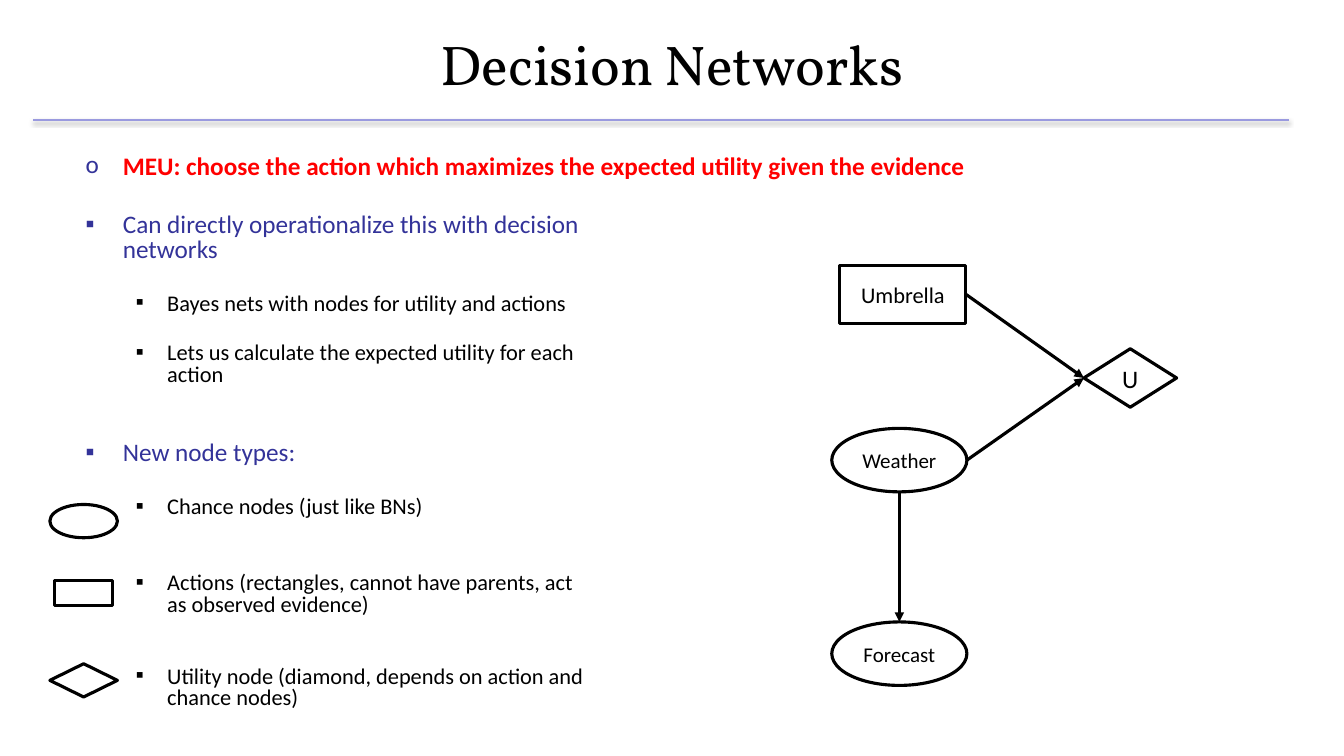
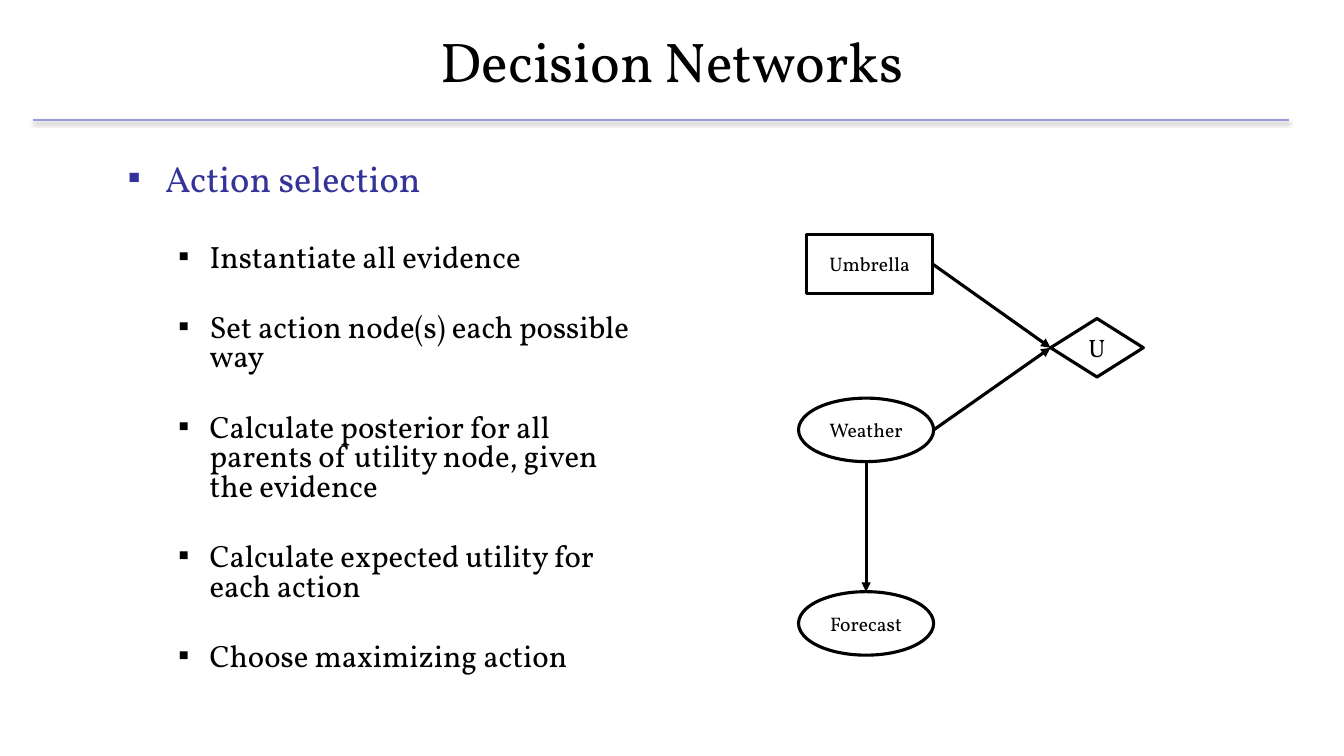
"""Build two slides on decision networks from shared title, list and diagram rules."""
from dataclasses import dataclass

from lxml import etree
from pptx import Presentation
from pptx.dml.color import RGBColor
from pptx.enum.shapes import MSO_CONNECTOR, MSO_SHAPE
from pptx.enum.text import MSO_ANCHOR, PP_ALIGN
from pptx.oxml.ns import qn
from pptx.util import Inches, Pt

OVAL, RECT, DIAMOND = MSO_SHAPE.OVAL, MSO_SHAPE.RECTANGLE, MSO_SHAPE.DIAMOND
STRAIGHT = MSO_CONNECTOR.STRAIGHT
CENTER, LEFT = PP_ALIGN.CENTER, PP_ALIGN.LEFT
MIDDLE, TOP = MSO_ANCHOR.MIDDLE, MSO_ANCHOR.TOP
CXN_TOP, CXN_LEFT, CXN_RIGHT = 0, 1, 3


@dataclass(frozen=True)
class Theme:
    """Colours, fonts, type sizes and line widths."""
    ink: str = "000000"
    paper: str = "FFFFFF"
    accent: str = "333399"
    alert: str = "FF0000"
    rule: str = "9A9ADF"
    serif: str = "Vollkorn"
    sans: str = "Calibri"
    title: int = 40
    utility: int = 18
    stroke: float = 2.25
    hairline: float = 1
    leading: float = 0.8


T = Theme()
WIDTH, HEIGHT = 13.33, 7.5
TITLE_H = HEIGHT / 6
RULE_X, RULE_Y = (0.33, 12.78), 1.19
INDENTS = ((0.37, -0.37), (0.81, -0.31))

NODES = {
    "Weather": (OVAL, 0, 1.62, 1.34, 0.63),
    "Forecast": (OVAL, 0, 3.54, 1.34, 0.63),
    "Umbrella": (RECT, 0.08, 0, 1.25, 0.58),
    "U": (DIAMOND, 2.5, 0.83, 0.92, 0.58),
}
LEGEND_X = 0.83
LEGEND = ((OVAL, 5.17, 0.67, 0.33), (RECT, 5.88, 0.58, 0.25), (DIAMOND, 6.75, 0.67, 0.33))

SLIDES = [
    {
        "title": "Decision Networks", "title_y": 0, "font": T.sans,
        "sizes": (18, 16), "diagram": (8.25, 2.63),
        "labels": {"Weather": 15, "Forecast": 15, "Umbrella": 16},
        "legend": LEGEND,
        "lists": [
            {"at": (0.75, 1.5, 10.33, 0.5), "bullet": "o", "color": T.alert, "bold": True,
             "items": [(0, 0, "MEU: choose the action which maximizes the expected utility given the evidence")]},
            {"at": (0.75, 2.08, 5.25, 4.78), "items": [
                (0, 4, "Can directly operationalize this with decision networks"),
                (1, 22, "Bayes nets with nodes for utility and actions"),
                (1, 20, "Lets us calculate the expected utility for each action"),
                (0, 40, "New node types:"),
                (1, 22, "Chance nodes (just like BNs)"),
                (1, 39, "Actions (rectangles, cannot have parents, act as observed evidence)"),
                (1, 36, "Utility node (diamond, depends on action and chance nodes)"),
            ]},
        ],
    },
    {
        "title": "Decision Networks", "title_y": -0.03, "font": T.serif,
        "sizes": (26, 22), "diagram": (7.92, 2.33),
        "labels": {"Weather": 14, "Forecast": 14, "Umbrella": 14},
        "legend": (),
        "lists": [
            {"at": (1.17, 1.58, 5.25, 5.37), "items": [
                (0, 0, "Action selection"),
                (1, 32.5, "Instantiate all evidence"),
                (1, 29, "Set action node(s) each possible way"),
                (1, 29, "Calculate posterior for all parents of utility node, given the evidence"),
                (1, 29, "Calculate expected utility for each action"),
                (1, 29, "Choose maximizing action"),
            ]},
        ],
    },
]


def inches(*values):
    return [Inches(v) for v in values]


def set_attrs(obj, **values):
    for name, value in values.items():
        setattr(obj, name, value)


def add_xml(parent, tag, **attrs):
    return etree.SubElement(parent, qn(tag), attrs)


def write(p, text, font, size, color=T.ink, bold=False, align=LEFT):
    p.alignment = align
    r = p.add_run()
    r.text = text
    set_attrs(r.font, name=font, size=Pt(size), bold=bold)
    r.font.color.rgb = RGBColor.from_string(color)


def add_box(s, at, anchor=TOP):
    tf = s.shapes.add_textbox(*inches(*at)).text_frame
    set_attrs(tf, word_wrap=True, vertical_anchor=anchor)
    return tf


def add_line(s, start, end, color, width):
    c = s.shapes.add_connector(STRAIGHT, *inches(*start, *end))
    c.line.color.rgb = RGBColor.from_string(color)
    c.line.width = Pt(width)
    return c, add_xml(c._element.spPr, "a:effectLst")


def add_arrow(s, start, end):
    c, _ = add_line(s, start, end, T.ink, T.stroke)
    add_xml(c.line._get_or_add_ln(), "a:tailEnd", type="triangle")
    return c


def add_header(s, title, y):
    _, effects = add_line(s, (RULE_X[0], RULE_Y), (RULE_X[1], RULE_Y), T.rule, T.hairline)
    shadow = add_xml(effects, "a:outerShdw", blurRad=str(Pt(3.1)), dist=str(Pt(1.6)),
                     dir="5400000", rotWithShape="0")
    add_xml(add_xml(shadow, "a:srgbClr", val=T.ink), "a:alpha", val="38000")
    tf = add_box(s, (0, y, WIDTH, TITLE_H), MIDDLE)
    write(tf.paragraphs[0], title, T.serif, T.title, align=CENTER)


def add_list(s, at, items, font, sizes, bullet="▪", color=T.accent, bold=False):
    tf = add_box(s, at)
    for i, (level, gap, text) in enumerate(items):
        p = tf.add_paragraph() if i else tf.paragraphs[0]
        ink = T.ink if level else color
        set_attrs(p, level=level, line_spacing=T.leading, space_before=Pt(gap))
        write(p, text, font, sizes[level], ink, bold)
        pPr = p._p.get_or_add_pPr()
        for name, value in zip(("marL", "indent"), INDENTS[level]):
            pPr.set(name, str(Inches(value)))
        add_xml(add_xml(pPr, "a:buClr"), "a:srgbClr", val=ink if ink == T.ink else T.accent)
        add_xml(pPr, "a:buFont", typeface=T.sans)
        add_xml(pPr, "a:buChar", char=bullet)


def add_node(s, kind, x, y, w, h):
    sp = s.shapes.add_shape(kind, *inches(x, y, w, h))
    sp.shadow.inherit = False
    sp.fill.solid()
    sp.fill.fore_color.rgb = RGBColor.from_string(T.paper)
    sp.line.color.rgb = RGBColor.from_string(T.ink)
    sp.line.width = Pt(T.stroke)
    return sp


def add_diagram(s, origin, font, labels):
    ox, oy = origin
    nodes, sides = {}, {}
    for name, (kind, dx, dy, w, h) in NODES.items():
        x, y = ox + dx, oy + dy
        sp = nodes[name] = add_node(s, kind, x, y, w, h)
        sides[name] = {"top": (x + w / 2, y), "bottom": (x + w / 2, y + h),
                       "left": (x, y + h / 2), "right": (x + w, y + h / 2)}
        tf = sp.text_frame
        set_attrs(tf, word_wrap=False, vertical_anchor=MIDDLE, margin_left=0, margin_right=0,
                  margin_top=0, margin_bottom=0)
        write(tf.paragraphs[0], name, font, labels.get(name, T.utility), align=CENTER)
    for source, side in (("Umbrella", "right"), ("Weather", "right")):
        c = add_arrow(s, sides[source][side], sides["U"]["left"])
        if NODES[source][0] == RECT:
            c.begin_connect(nodes[source], CXN_RIGHT)
        c.end_connect(nodes["U"], CXN_LEFT)
    c = add_arrow(s, sides["Weather"]["bottom"], sides["Forecast"]["top"])
    c.end_connect(nodes["Forecast"], CXN_TOP)


def main():
    prs = Presentation()
    set_attrs(prs, slide_width=Inches(WIDTH), slide_height=Inches(HEIGHT))
    for data in SLIDES:
        s = prs.slides.add_slide(prs.slide_layouts[6])
        add_header(s, data["title"], data["title_y"])
        for block in data["lists"]:
            add_list(s, font=data["font"], sizes=data["sizes"], **block)
        add_diagram(s, data["diagram"], data["font"], data["labels"])
        for kind, cy, w, h in data["legend"]:
            add_node(s, kind, LEGEND_X - w / 2, cy - h / 2, w, h)
    prs.save("out.pptx")


if __name__ == "__main__":
    main()
